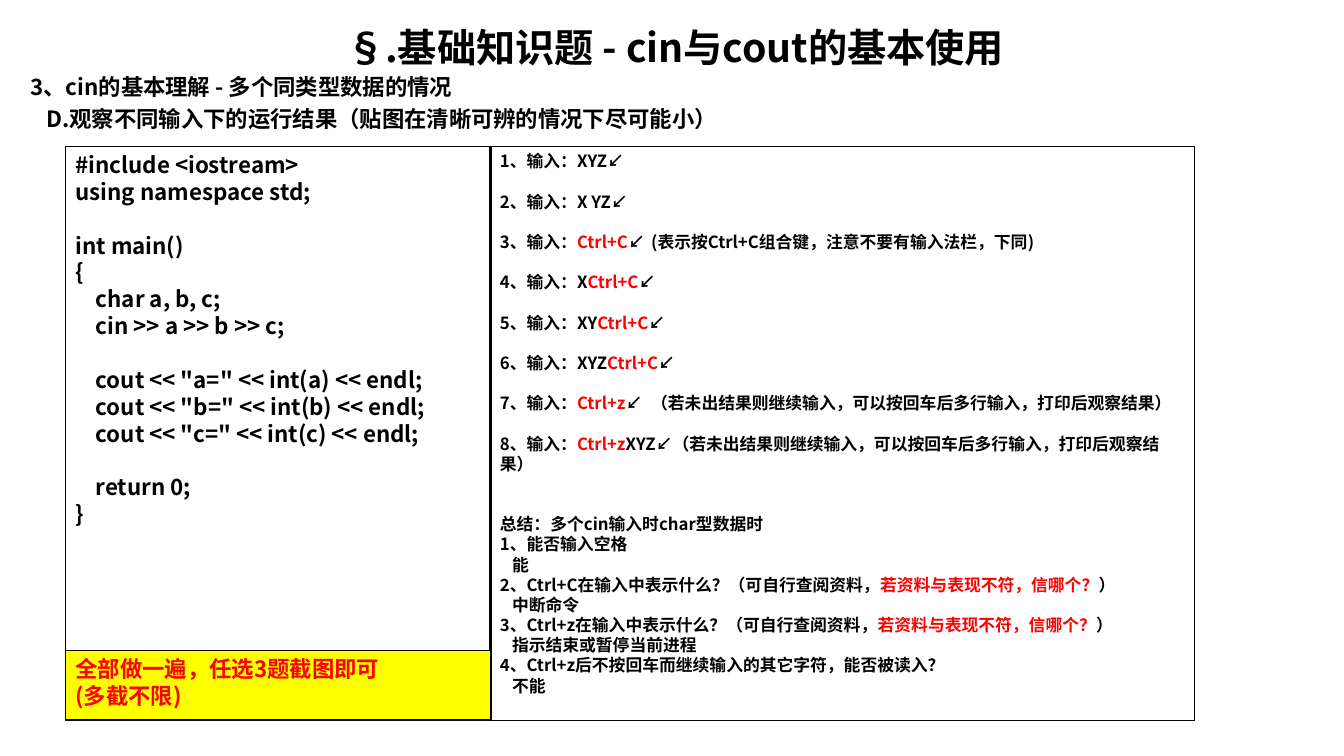
from lxml import etree
from pptx import Presentation
from pptx import util as u
from pptx.dml import color
from pptx.enum import shapes, text
from pptx.oxml import ns

FONT = "Noto Sans CJK SC"
BLACK, RED, YELLOW = "000000", "FF0000", "FFFF00"


def rgb(value):
    return color.RGBColor.from_string(value)


def write(box, line, size=12, fill=BLACK, gap=0, indent=0, tab=0, align=text.PP_ALIGN.LEFT):
    frame = box.text_frame
    para = frame.add_paragraph() if frame.text else frame.paragraphs[0]
    para.alignment = align
    para.line_spacing = u.Pt(size * 1.2)
    para.space_before = u.Pt(gap)
    properties = para._p.get_or_add_pPr()
    properties.set("marL", str(u.Inches(indent)))
    properties.set("indent", "0")
    etree.SubElement(properties, ns.qn("a:buNone"))
    if tab:
        stops = etree.SubElement(properties, ns.qn("a:tabLst"))
        etree.SubElement(stops, ns.qn("a:tab"), pos=str(u.Inches(tab)), algn="l")
    for index, part in enumerate(line.split("|")):
        if not part:
            continue
        span = para.add_run()
        span.text = part
        span.font.size = u.Pt(size)
        span.font.bold = True
        span.font.name = FONT
        span.font.color.rgb = rgb(RED if index % 2 else fill)
        etree.SubElement(span._r.get_or_add_rPr(), ns.qn("a:ea"), typeface=FONT)


deck = Presentation()
deck.slide_width = u.Inches(13.33)
deck.slide_height = u.Inches(7.5)
page = deck.slides.add_slide(deck.slide_layouts[1])

heading = page.shapes.title
topics = page.placeholders[1]
for box, top, height in [(heading, 0.18, 0.57), (topics, 0.68, 0.75)]:
    box.left, box.top = u.Inches(0.2), u.Inches(top)
    box.width, box.height = u.Inches(12.99), u.Inches(height)

panels = []
for left, top, width, height in [
    (0.65, 1.45, 4.22, 5.7),
    (4.86, 1.45, 6.99, 5.7),
    (0.65, 6.45, 4.22, 0.69),
]:
    panel = page.shapes.add_shape(
        shapes.MSO_SHAPE.RECTANGLE,
        u.Inches(left), u.Inches(top), u.Inches(width), u.Inches(height),
    )
    panel.shadow.inherit = False
    panel.fill.background()
    panel.line.color.rgb = rgb(BLACK)
    panel.line.width = u.Pt(0.75)
    panels.append(panel)

code_panel, task_panel, notice = panels
notice.fill.solid()
notice.fill.fore_color.rgb = rgb(YELLOW)

for box in [heading, topics, *panels]:
    box.text_frame.word_wrap = True
    box.text_frame.auto_size = text.MSO_AUTO_SIZE.NONE
    box.text_frame.vertical_anchor = text.MSO_ANCHOR.TOP

write(heading, "§.基础知识题 - cin与cout的基本使用", size=28, align=text.PP_ALIGN.CENTER)
write(topics, "3、cin的基本理解 - 多个同类型数据的情况", size=16)
write(topics, "D.观察不同输入下的运行结果（贴图在清晰可辨的情况下尽可能小）", size=16, gap=3.5, indent=0.16)

code_blocks = [
    ["#include <iostream>", "using namespace std;"],
    ["int main()", "{", "    char a, b, c;", "    cin >> a >> b >> c;"],
    [f'    cout << "{name}=" << int({name}) << endl;' for name in "abc"],
    ["    return 0;", "}"],
]
for block_index, block in enumerate(code_blocks):
    for line_index, line in enumerate(block):
        starts_block = block_index > 0 and line_index == 0
        write(code_panel, line, size=16, gap=19.2 if starts_block else 0)

hint = "（若未出结果则继续输入，可以按回车后多行输入，打印后观察结果）"
inputs = [
    "XYZ↙",
    "X YZ↙",
    "|Ctrl+C|↙\t(表示按Ctrl+C组合键，注意不要有输入法栏，下同)",
    "X|Ctrl+C|↙",
    "XY|Ctrl+C|↙",
    "XYZ|Ctrl+C|↙",
    "|Ctrl+z|↙\t" + hint,
    "|Ctrl+z|XYZ↙" + hint,
]
for number, entry in enumerate(inputs, 1):
    write(task_panel, f"{number}、输入：{entry}", gap=14.4 if number > 1 else 0, tab=1.6)

doubt = "在输入中表示什么？（可自行查阅资料，|若资料与表现不符，信哪个？|）"
summary = [
    ("能否输入空格", "能"),
    ("Ctrl+C" + doubt, "中断命令"),
    ("Ctrl+z" + doubt, "指示结束或暂停当前进程"),
    ("Ctrl+z后不按回车而继续输入的其它字符，能否被读入？", "不能"),
]
write(task_panel, "总结：多个cin输入时char型数据时", gap=28.8)
for number, (question, answer) in enumerate(summary, 1):
    write(task_panel, f"{number}、{question}")
    write(task_panel, answer, indent=0.12)

for line in ["全部做一遍，任选3题截图即可", "(多截不限)"]:
    write(notice, line, size=16, fill=RED)

deck.save("out.pptx")
